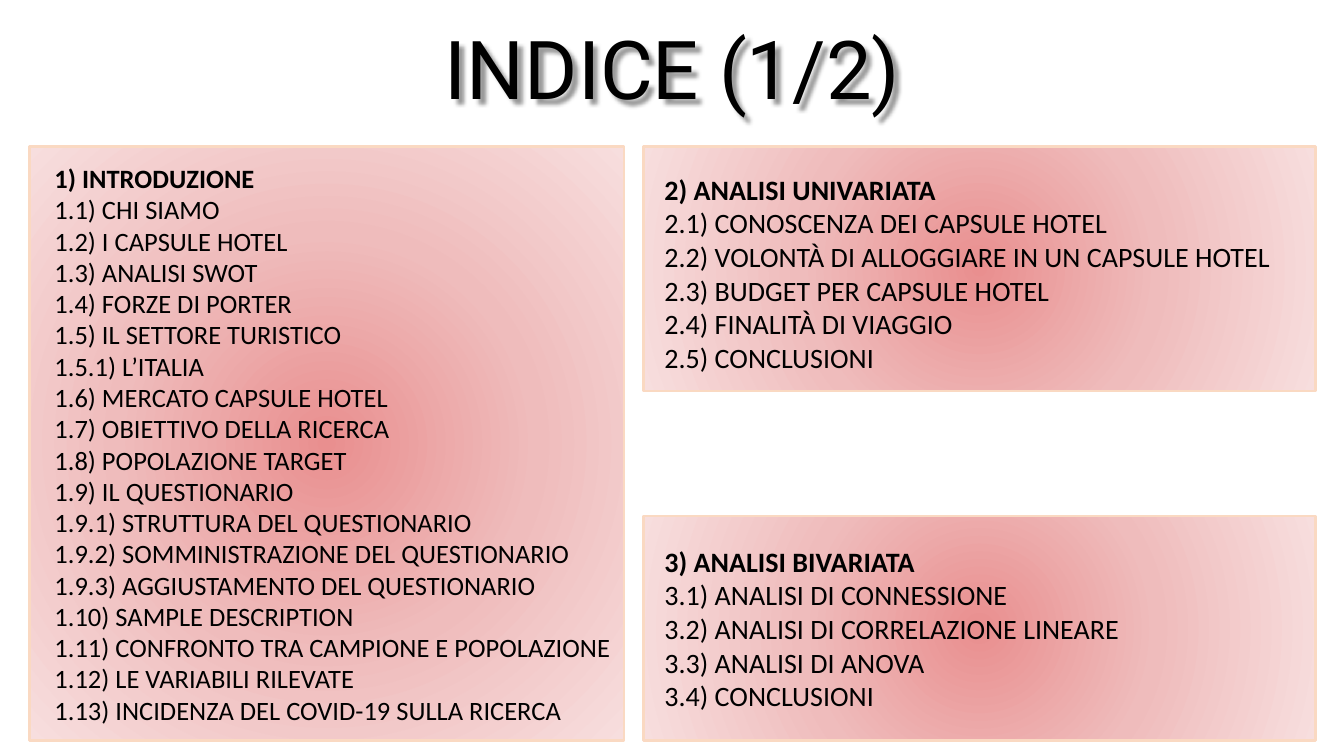
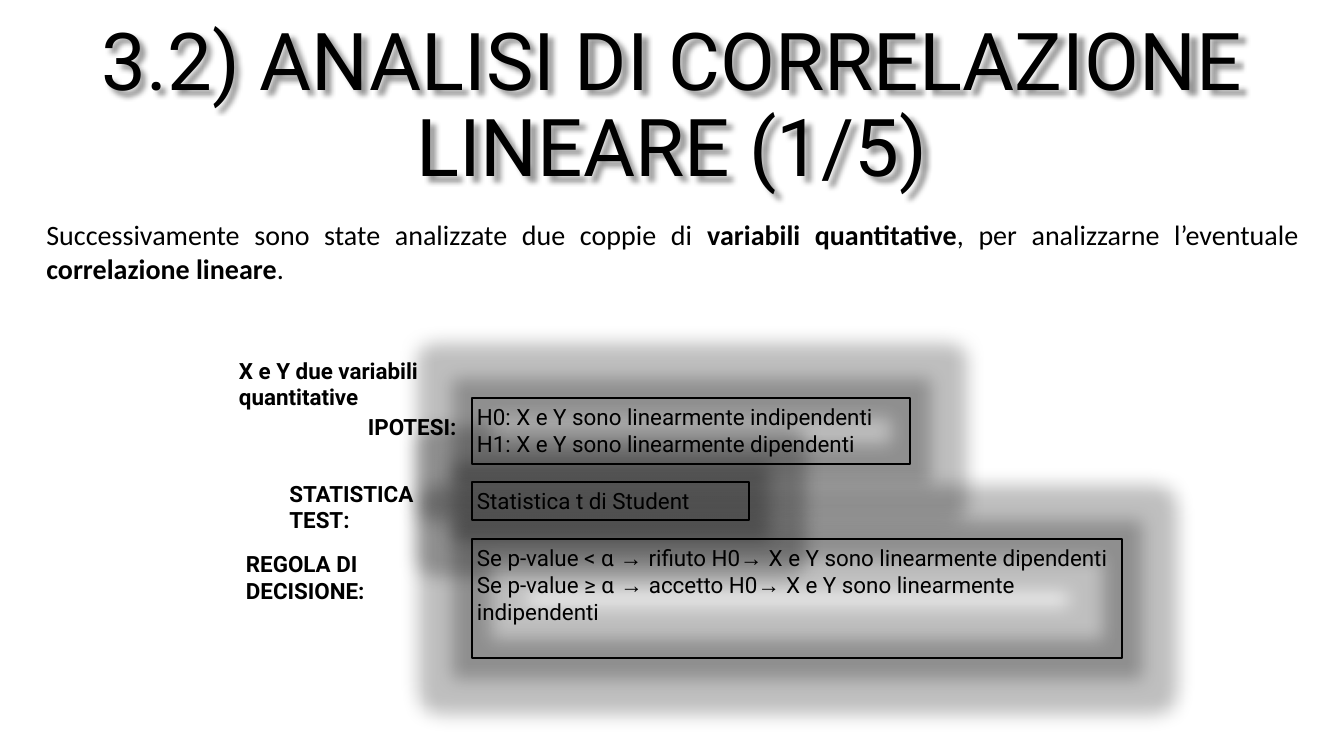
from dataclasses import dataclass

from lxml.etree import SubElement
from pptx import Presentation
from pptx.dml.color import RGBColor
from pptx.enum.shapes import MSO_SHAPE
from pptx.enum.text import MSO_ANCHOR, MSO_AUTO_SIZE, PP_ALIGN
from pptx.oxml.ns import qn
from pptx.util import Inches, Pt


@dataclass(frozen=True)
class Theme:
    ink: str = "000000"
    edge: str = "FAD9C2"
    stops: tuple = ((0, "E98F8F"), (50, "EFBCBC"), (100, "F7DEDE"))
    head: str = "Roboto"
    body: str = "Calibri"
    sign: str = "Arial"
    big: float = 58
    text: float = 20
    list: float = 18.9
    small: float = 16


THEME = Theme()


def write(frame, paras, font=THEME.body, size=THEME.text, bold=False,
          align=PP_ALIGN.LEFT, line=None, gap=0, anchor=MSO_ANCHOR.TOP):
    """Fill a frame; a paragraph is a string or a list of (text, changes)."""
    frame.word_wrap = True
    frame.auto_size = MSO_AUTO_SIZE.NONE
    frame.vertical_anchor = anchor
    frame.margin_left = frame.margin_right = Inches(0.05)
    frame.margin_top = frame.margin_bottom = Inches(0.05)
    for i, runs in enumerate(paras):
        para = frame.add_paragraph() if i else frame.paragraphs[0]
        para.alignment = align
        para.space_before = Pt(gap if i else 0)
        if line:
            para.line_spacing = line
        for words, diff in [(runs, {})] if isinstance(runs, str) else runs:
            run = para.add_run()
            run.text = words
            run.font.name = diff.get("font", font)
            run.font.size = Pt(size)
            run.font.bold = diff.get("bold", bold)
            run.font.color.rgb = RGBColor.from_string(THEME.ink)


def tint(parent, color, alpha=None):
    node = SubElement(parent, qn("a:srgbClr"), val=color)
    if alpha:
        SubElement(node, qn("a:alpha"), val=str(alpha * 1000))


def effect(shape, name, alpha, **attrs):
    """Give a shape one effect, a glow or a shadow."""
    shape.shadow.inherit = False
    group = shape.element.spPr.find(qn("a:effectLst"))
    node = SubElement(group, qn("a:" + name),
                      {key: str(val) for key, val in attrs.items()})
    tint(node, THEME.ink, alpha)


class Deck:
    def __init__(self, theme):
        self.theme = theme
        self.show = Presentation()
        self.show.slide_width = Inches(13.33)
        self.show.slide_height = Inches(7.5)
        self.slide = None

    def page(self, title, spot, size):
        """Start a slide with its shadowed title."""
        self.slide = self.show.slides.add_slide(self.show.slide_layouts[5])
        shape = self.slide.shapes.title
        shape.left, shape.top, shape.width, shape.height = map(Inches, spot)
        write(shape.text_frame, [title], font=self.theme.head, size=size,
              align=PP_ALIGN.CENTER, line=0.9, anchor=MSO_ANCHOR.BOTTOM)
        effect(shape, "outerShdw", 40, blurRad=Inches(0.04),
               dist=Inches(0.06), dir=2700000, algn="tl", rotWithShape=0)

    def text(self, spot, paras, **form):
        shape = self.slide.shapes.add_textbox(*map(Inches, spot))
        write(shape.text_frame, paras, **form)

    def rect(self, spot, color, width):
        shape = self.slide.shapes.add_shape(MSO_SHAPE.RECTANGLE,
                                            *map(Inches, spot))
        shape.shadow.inherit = False
        shape.fill.background()
        shape.line.color.rgb = RGBColor.from_string(color)
        shape.line.width = Pt(width)
        return shape

    def panel(self, spot):
        """Draw a rectangle with a radial gradient."""
        shape = self.rect(spot, self.theme.edge, 2)
        props = shape.element.spPr
        blank = props.find(qn("a:noFill"))
        grad = SubElement(props, qn("a:gradFill"), rotWithShape="1")
        props.replace(blank, grad)
        stops = SubElement(grad, qn("a:gsLst"))
        for pos, color in self.theme.stops:
            tint(SubElement(stops, qn("a:gs"), pos=str(pos * 1000)), color)
        ring = SubElement(grad, qn("a:path"), path="circle")
        SubElement(ring, qn("a:fillToRect"),
                   {side: "50000" for side in "ltrb"})

    def box(self, spot, paras):
        """Draw an outlined, glowing box with text."""
        shape = self.rect(spot, self.theme.ink, 1.5)
        effect(shape, "glow", 25, rad=Inches(0.37))
        write(shape.text_frame, paras, font=self.theme.head,
              size=self.theme.small)

    def label(self, spot, words):
        self.text(spot, [words], font=self.theme.head,
                  size=self.theme.small, bold=True)


def topics(head, *items):
    return [[(head, {"bold": True})], *items]


def index(deck):
    deck.page("INDICE (1/2)", (1.51, 0, 10.32, 1.21), THEME.big)

    # Panels
    for spot in ((6.38, 5.12, 6.67, 2.23), (6.38, 1.45, 6.67, 2.43),
                 (0.29, 1.45, 5.9, 5.9)):
        deck.panel(spot)

    # Topic lists
    deck.text((0.49, 1.64, 7.01, 5.45), topics(
        "1) INTRODUZIONE",
        "1.1) CHI SIAMO",
        "1.2) I CAPSULE HOTEL",
        "1.3) ANALISI SWOT",
        "1.4) FORZE DI PORTER",
        "1.5) IL SETTORE TURISTICO",
        "1.5.1) L’ITALIA",
        "1.6) MERCATO CAPSULE HOTEL",
        "1.7) OBIETTIVO DELLA RICERCA",
        "1.8) POPOLAZIONE TARGET",
        "1.9) IL QUESTIONARIO",
        "1.9.1) STRUTTURA DEL QUESTIONARIO",
        "1.9.2) SOMMINISTRAZIONE DEL QUESTIONARIO",
        "1.9.3) AGGIUSTAMENTO DEL QUESTIONARIO",
        "1.10) SAMPLE DESCRIPTION",
        "1.11) CONFRONTO TRA CAMPIONE E POPOLAZIONE",
        "1.12) LE VARIABILI RILEVATE",
        "1.13) INCIDENZA DEL COVID-19 SULLA RICERCA",
    ), size=THEME.list, line=0.72, gap=6)
    deck.text((6.54, 1.66, 6.57, 2.43), topics(
        "2) ANALISI UNIVARIATA",
        "2.1) CONOSCENZA DEI CAPSULE HOTEL",
        "2.2) VOLONTÀ DI ALLOGGIARE IN UN CAPSULE HOTEL",
        "2.3) BUDGET PER CAPSULE HOTEL",
        "2.4) FINALITÀ DI VIAGGIO",
        "2.5) CONCLUSIONI",
    ))
    deck.text((6.54, 5.35, 6.57, 1.77), topics(
        "3) ANALISI BIVARIATA",
        "3.1) ANALISI DI CONNESSIONE",
        "3.2) ANALISI DI CORRELAZIONE LINEARE",
        "3.3) ANALISI DI ANOVA",
        "3.4) CONCLUSIONI",
    ))


def rule(test, act, end):
    sign = {"font": THEME.sign}
    return [(test, {}), (" → ", sign), (act, {}), ("→ ", sign),
            ("X e Y sono linearmente " + end, {})]


def linear(deck):
    deck.page("3.2) ANALISI DI CORRELAZIONE LINEARE (1/5)",
              (-0.14, 0.62, 13.61, 1.35), THEME.big - 1)

    # Introduction
    bold = {"bold": True}
    deck.text((0.41, 2.11, 12.52, 0.77), [[
        ("Successivamente sono state analizzate due coppie di ", {}),
        ("variabili quantitative", bold),
        (", per analizzarne l’eventuale ", {}),
        ("correlazione lineare", bold),
        (".", {}),
    ]], align=PP_ALIGN.JUSTIFY)

    # Test steps: label place and width, box place and size
    deck.label((2.32, 3.49, 2.99, 0.63), "X e Y due variabili quantitative")
    edge, left = 4.63, 4.68
    steps = (
        ("IPOTESI:", 4.05, 1.03, 3.95, 4.35, 0.65,
         ["H0: X e Y sono linearmente indipendenti",
          "H1: X e Y sono linearmente dipendenti"]),
        ("STATISTICA TEST:", 4.71, 1.81, 4.78, 2.75, 0.38,
         ["Statistica t di Student"]),
        ("REGOLA DI DECISIONE:", 5.41, 2.24, 5.35, 6.45, 1.18,
         [rule("Se p-value < α", "rifiuto H0", "dipendenti"),
          rule("Se p-value ≥ α", "accetto H0", "indipendenti")]),
    )
    for name, high, wide, top, width, height, paras in steps:
        deck.label((edge - wide, high, wide, 0.63), name)
        deck.box((left, top, width, height), paras)


def main():
    deck = Deck(THEME)
    index(deck)
    linear(deck)
    deck.show.save("out.pptx")


if __name__ == "__main__":
    main()
